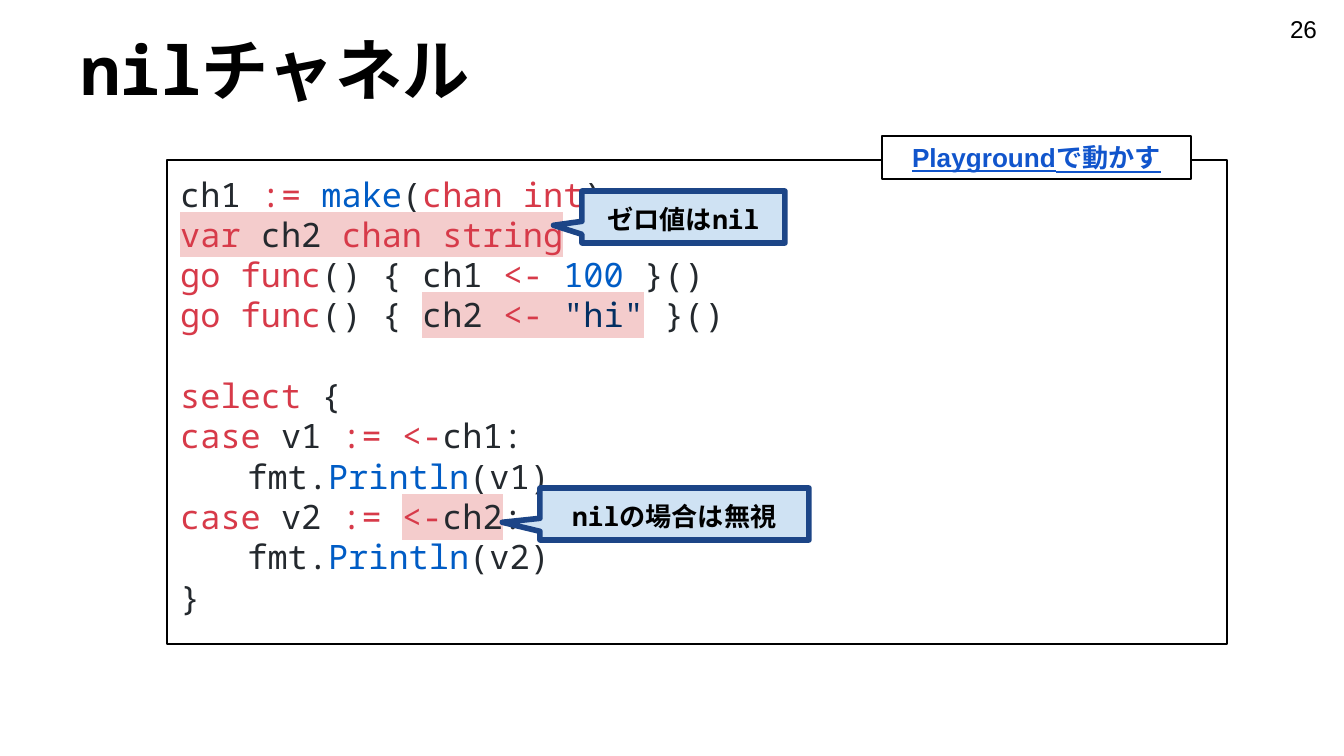
from lxml import etree
from pptx import Presentation, util as u
from pptx.dml.color import RGBColor
from pptx.enum import shapes as s, text as t
from pptx.oxml.ns import qn

BLACK = RGBColor(0, 0, 0)
WHITE = RGBColor(255, 255, 255)
PLAIN = RGBColor(0x24, 0x29, 0x2E)
KEYWORD = RGBColor(0xD7, 0x3A, 0x49)
CALL = RGBColor(0x00, 0x5C, 0xC5)
STRING = RGBColor(0x03, 0x2F, 0x62)
LINK = RGBColor(0x11, 0x55, 0xCC)
SKY = RGBColor(0xCF, 0xE2, 0xF3)
NAVY = RGBColor(0x1C, 0x45, 0x87)
MARK = RGBColor(0xF4, 0xCC, 0xCC)
MONO, SANS, KANA = "Noto Sans Mono", "Arial", "DejaVu Sans"

# Content: runs of (text, font) or, in code, (text, colour[, highlight])
TITLE = [("nil", MONO), ("チャネル", SANS)]
PAGE = [("26", SANS)]
PLAYGROUND = [("Playgroundで動かす", SANS)]
CALLOUTS = [
    ((582, 191, 203, 52), [("ゼロ値は", KANA), ("nil", MONO)]),
    ((540, 488, 269, 52), [("nil", MONO), ("の場合は無視", KANA)]),
]
SETUP = [
    [("ch1 ", PLAIN), (":= ", KEYWORD), ("make", CALL), ("(", PLAIN),
     ("chan int", KEYWORD), (")", PLAIN)],
    [("var", KEYWORD, MARK), (" ch2 ", PLAIN, MARK), ("chan", KEYWORD, MARK),
     (" ", PLAIN, MARK), ("string", KEYWORD, MARK)],
    [("go func", KEYWORD), ("() { ch1 ", PLAIN), ("<- ", KEYWORD),
     ("100", CALL), (" }()", PLAIN)],
    [("go func", KEYWORD), ("() { ", PLAIN), ("ch2 ", PLAIN, MARK),
     ("<-", KEYWORD, MARK), (" ", PLAIN, MARK), ('"hi"', STRING, MARK),
     (" }()", PLAIN)],
]
SELECT = [
    [("select", KEYWORD), (" {", PLAIN)],
    [("case", KEYWORD), (" v1 ", PLAIN), (":= <-", KEYWORD), ("ch1:", PLAIN)],
    [("\tfmt.", PLAIN), ("Println", CALL), ("(v1)", PLAIN)],
    [("case", KEYWORD), (" v2 ", PLAIN), (":= ", KEYWORD),
     ("<-", KEYWORD, MARK), ("ch2", PLAIN, MARK), (":", PLAIN)],
    [("\tfmt.", PLAIN), ("Println", CALL), ("(v2)", PLAIN)],
    [("}", PLAIN)],
]
CODE_LINE = u.Pt(21.6)


def px(*lengths):
    return [round(n * 914400 / 134.4) for n in lengths]


def set_all(target, **values):
    for name, value in values.items():
        setattr(target, name, value)


def set_frame(shape, anchor=t.MSO_ANCHOR.MIDDLE):
    inset = u.Inches(0.1)
    set_all(shape.text_frame, word_wrap=True, auto_size=t.MSO_AUTO_SIZE.NONE,
            vertical_anchor=anchor, margin_left=inset, margin_right=inset,
            margin_top=inset, margin_bottom=inset)
    return shape.text_frame


def add_run(paragraph, words, color, **font):
    run = paragraph.add_run()
    run.text = words
    set_all(run.font, **font)
    run.font.color.rgb = color
    return run


def write(shape, runs, size, color=BLACK, align=t.PP_ALIGN.CENTER,
          spacing=1.0, **font):
    paragraph = set_frame(shape).paragraphs[0]
    set_all(paragraph, alignment=align, line_spacing=spacing)
    for words, face in runs:
        add_run(paragraph, words, color, name=face, size=u.Pt(size), **font)


def highlight(run, color):
    mark = etree.Element(qn("a:highlight"))
    etree.SubElement(mark, qn("a:srgbClr"), val=str(color))
    run.font.fill
    run._r.rPr.find(qn("a:solidFill")).addnext(mark)


def add_box(kind, place, fill, line, width):
    box = slide.shapes.add_shape(kind, *px(*place))
    box.shadow.inherit = False
    if fill is None:
        box.fill.background()
    else:
        box.fill.solid()
        box.fill.fore_color.rgb = fill
    box.line.color.rgb = line
    box.line.width = u.Pt(width)
    return box


def add_callout(place, runs):
    callout = add_box(s.MSO_SHAPE.ROUNDED_RECTANGULAR_CALLOUT, place, SKY, NAVY, 3)
    for i, value in enumerate((-0.64, 0.16, 0)):
        callout.adjustments[i] = value
    write(callout, runs, 14, spacing=1.15, bold=True)


prs = Presentation()
prs.slide_width, prs.slide_height = px(1344, 756)
slide = prs.slides.add_slide(prs.slide_layouts[5])

# Title
title = slide.shapes.title
set_all(title, **dict(zip(("left", "top", "width", "height"), px(67, 31, 1210, 75))))
write(title, TITLE, 36, align=t.PP_ALIGN.LEFT, bold=True)

# Code listing
listing = add_box(s.MSO_SHAPE.RECTANGLE, (167, 160, 1060, 484), None, BLACK, 0.75)
frame = set_frame(listing, t.MSO_ANCHOR.TOP)
for i, code in enumerate(SETUP + SELECT):
    line = frame.add_paragraph() if i else frame.paragraphs[0]
    line.alignment = t.PP_ALIGN.LEFT
    if i == len(SETUP):
        line.space_before = CODE_LINE
    for words, color, *mark in code:
        run = add_run(line, words, color, name=MONO, size=u.Pt(18))
        if mark:
            highlight(run, mark[0])

# Callouts and playground label
add_callout(*CALLOUTS[0])
playground = add_box(s.MSO_SHAPE.RECTANGLE, (882, 136, 309, 43), WHITE, BLACK, 0.75)
write(playground, PLAYGROUND, 14, LINK, bold=True, underline=True)
add_callout(*CALLOUTS[1])

# Page number
page = slide.shapes.add_textbox(*px(1263, 0, 81, 58))
write(page, PAGE, 13)

prs.save("out.pptx")
